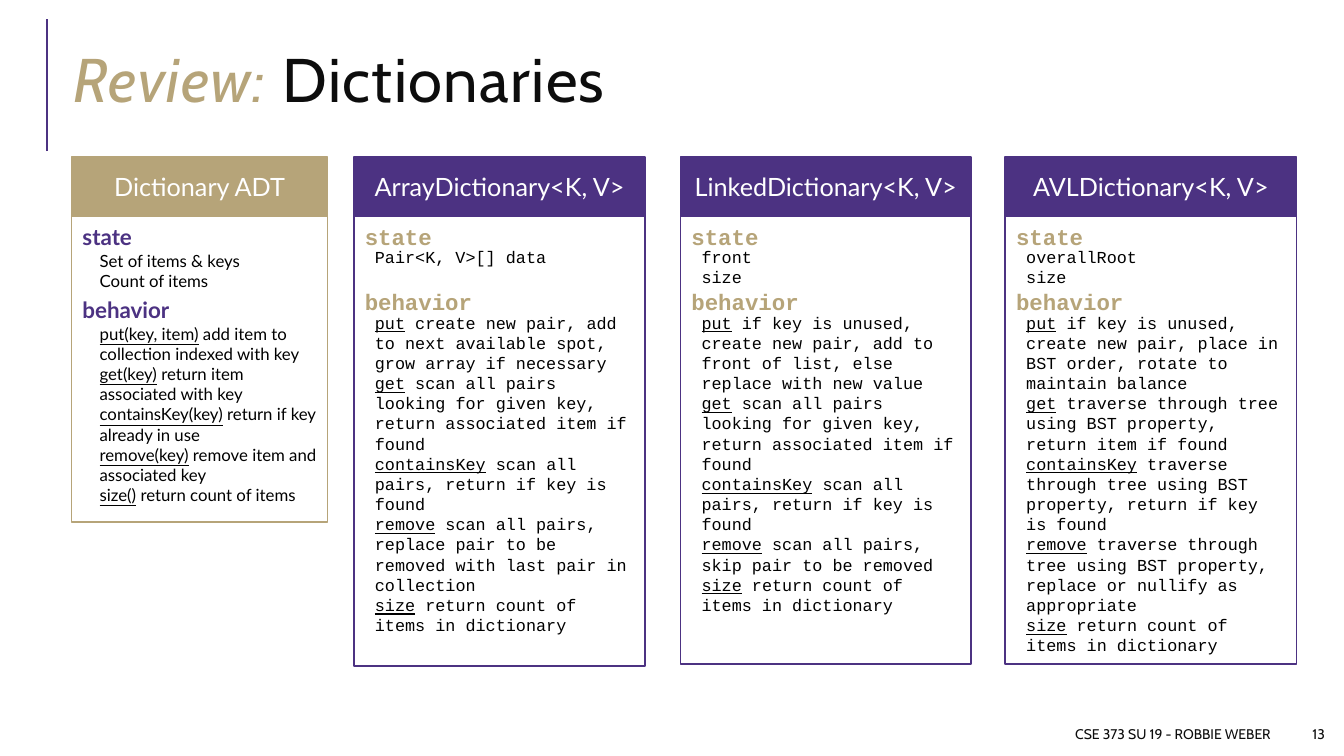
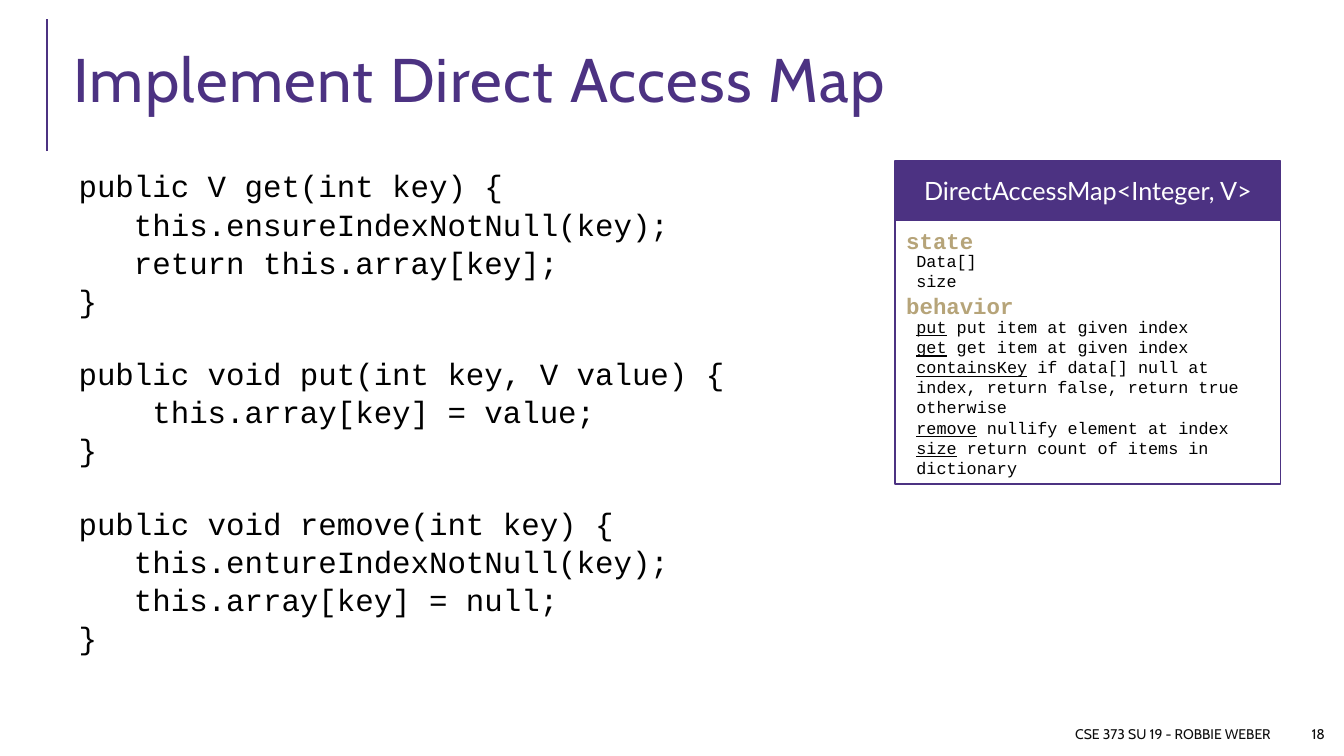
from dataclasses import dataclass

from lxml.etree import SubElement
from pptx import Presentation
from pptx.dml.color import RGBColor
from pptx.enum.shapes import MSO_CONNECTOR as Connector, MSO_SHAPE as Shape
from pptx.enum.text import MSO_ANCHOR as Anchor, PP_ALIGN as Align
from pptx.oxml.ns import qn
from pptx.util import Inches, Pt


@dataclass(frozen=True)
class Theme:
    purple: str = "4C3282"
    gold: str = "B6A479"
    ink: str = "0D0D0D"
    black: str = "000000"
    white: str = "FFFFFF"
    title_font: str = "Cabin"
    body_font: str = "Lato"
    code_font: str = "Courier New"
    title_size: int = 44
    code_size: int = 22
    header_size: int = 18
    heading_size: int = 16
    item_size: int = 12
    footer_size: int = 10


THEME = Theme()


@dataclass(frozen=True)
class PanelStyle:
    """Colours, font and inner offsets (inches from the panel corner)."""
    frame: str
    heading: str
    font: str
    indent: float
    items_top: float
    behavior_top: float
    methods_top: float


ADT = PanelStyle(THEME.gold, THEME.purple, THEME.body_font, 0.18, 0.88, 1.33, 1.6)
CLASS = PanelStyle(THEME.purple, THEME.gold, THEME.code_font, 0.11, 0.84, 1.25, 1.49)
HEADER_HEIGHT = 0.58


class Deck:
    def __init__(self, theme):
        self.theme = theme
        self.presentation = Presentation()
        self.presentation.slide_width = Inches(13.33)
        self.presentation.slide_height = Inches(7.5)
        self.slide = None

    def add_slide(self, title_runs, number):
        """Start a slide with its side rule, title and footer."""
        theme = self.theme
        self.slide = self.presentation.slides.add_slide(
            self.presentation.slide_layouts[6])
        rule = self.slide.shapes.add_connector(
            Connector.STRAIGHT, Inches(0.47), Inches(1.5), Inches(0.47), Inches(0.19))
        rule.line.color.rgb = RGBColor.from_string(theme.purple)
        rule.line.width = Pt(1.5)
        SubElement(rule._element.spPr, qn("a:effectLst"))
        self.title(title_runs)
        self.footer("CSE 373 SU 19 - ROBBIE WEBER", 6.25, 6.45)
        self.footer(str(number), 12.78, 0.46)

    def title(self, runs):
        frame = self.text_box(self.slide.shapes, 0.63, 0.29, 12.23, 1.11)
        frame.vertical_anchor = Anchor.MIDDLE
        paragraph = frame.paragraphs[0]
        paragraph.line_spacing = 0.8
        for text, color, italic in runs:
            run = self.run(paragraph, text, self.theme.title_font,
                           self.theme.title_size, color)
            run.font.italic = italic
            run.font._element.set("spc", "100")

    def footer(self, text, left, width):
        frame = self.text_box(self.slide.shapes, left, 7.13, width, 0.3)
        frame.vertical_anchor = Anchor.MIDDLE
        frame.paragraphs[0].alignment = Align.RIGHT
        self.run(frame.paragraphs[0], text, self.theme.title_font,
                 self.theme.footer_size, self.theme.ink)

    def text_box(self, shapes, left, top, width, height):
        frame = shapes.add_textbox(
            Inches(left), Inches(top), Inches(width), Inches(height)).text_frame
        frame.word_wrap = True
        return frame

    def run(self, paragraph, text, font, size, color):
        run = paragraph.add_run()
        run.text = text
        run.font.name = font
        run.font.size = Pt(size)
        run.font.color.rgb = RGBColor.from_string(color)
        return run

    def rectangle(self, shapes, left, top, width, height, fill, line):
        shape = shapes.add_shape(
            Shape.RECTANGLE, Inches(left), Inches(top), Inches(width), Inches(height))
        shape.shadow.inherit = False
        shape.fill.solid()
        shape.fill.fore_color.rgb = RGBColor.from_string(fill)
        shape.line.color.rgb = RGBColor.from_string(line)
        shape.line.width = Pt(1.25)
        return shape

    def item_list(self, shapes, left, top, width, height, items, font):
        """One paragraph per (underlined name, plain text) pair."""
        frame = self.text_box(shapes, left, top, width, height)
        for index, (name, text) in enumerate(items):
            paragraph = frame.add_paragraph() if index else frame.paragraphs[0]
            for part, underline in ((name, True), (text, False)):
                if part:
                    run = self.run(paragraph, part, font,
                                   self.theme.item_size, self.theme.black)
                    run.font.underline = underline

    def panel(self, left, top, width, body_height, name, state, methods, style):
        """A class card: header, state list and behavior list, grouped."""
        theme = self.theme
        shapes = self.slide.shapes.add_group_shape().shapes
        self.rectangle(shapes, left, top + HEADER_HEIGHT, width, body_height,
                       theme.white, style.frame)
        header = self.rectangle(shapes, left, top, width, HEADER_HEIGHT,
                                style.frame, style.frame).text_frame
        header.word_wrap = True
        header.vertical_anchor = Anchor.MIDDLE
        header.paragraphs[0].alignment = Align.CENTER
        self.run(header.paragraphs[0], name, theme.body_font,
                 theme.header_size, theme.white)

        for heading, offset in (("state", 0.6), ("behavior", style.behavior_top)):
            frame = self.text_box(shapes, left + 0.01, top + offset, 2.23, 0.37)
            run = self.run(frame.paragraphs[0], heading, style.font,
                           theme.heading_size, style.heading)
            run.font.bold = True

        item_left = left + style.indent
        self.item_list(shapes, item_left, top + style.items_top, 2.23, 0.5,
                       [("", text) for text in state], style.font)
        self.item_list(shapes, item_left, top + style.methods_top,
                       width - style.indent,
                       body_height + HEADER_HEIGHT - style.methods_top,
                       methods, style.font)

    def code(self, blocks):
        """Code listing; a wider gap follows each block but the last."""
        frame = self.text_box(self.slide.shapes, 0.73, 1.65, 12.13, 5.25)
        frame.margin_left = frame.margin_right = Inches(0.05)
        frame.margin_top = frame.margin_bottom = Inches(0.05)
        paragraph = None
        for block in blocks:
            if paragraph is not None:
                paragraph.space_after = Pt(28.7)
            for line in block.splitlines():
                paragraph = frame.add_paragraph() if paragraph else frame.paragraphs[0]
                paragraph.line_spacing = 0.9
                paragraph.space_after = Pt(3.5)
                self.run(paragraph, line, self.theme.code_font,
                         self.theme.code_size, self.theme.black)


# Content
SIZE = ("size", " return count of items in dictionary")
SCAN_GET = ("get", " scan all pairs looking for given key, return associated item if found")
SCAN_CONTAINS = ("containsKey", " scan all pairs, return if key is found")

# left, width, body height, name, state, methods, style
DICTIONARIES = [
    (0.71, 2.54, 3.04, "Dictionary ADT",
     ["Set of items & keys", "Count of items"],
     [("put(key, item)", " add item to collection indexed with key"),
      ("get(key)", " return item associated with key"),
      ("containsKey(key)", " return if key already in use"),
      ("remove(key)", " remove item and associated key"),
      ("size()", " return count of items")], ADT),
    (3.51, 2.89, 4.47, "ArrayDictionary<K, V>",
     ["Pair<K, V>[] data"],
     [("put", " create new pair, add to next available spot, grow array if necessary"),
      SCAN_GET,
      SCAN_CONTAINS,
      ("remove", " scan all pairs, replace pair to be removed with last pair in collection"),
      SIZE], CLASS),
    (6.75, 2.88, 4.45, "LinkedDictionary<K, V>",
     ["front", "size"],
     [("put", " if key is unused, create new pair, add to front of list, "
              "else replace with new value"),
      SCAN_GET,
      SCAN_CONTAINS,
      ("remove", " scan all pairs, skip pair to be removed"),
      SIZE], CLASS),
    (9.97, 2.89, 4.45, "AVLDictionary<K, V>",
     ["overallRoot", "size"],
     [("put", " if key is unused, create new pair, place in BST order, "
              "rotate to maintain balance"),
      ("get", " traverse through tree using BST property, return item if found"),
      ("containsKey", " traverse through tree using BST property, return if key is found"),
      ("remove", " traverse through tree using BST property, "
                 "replace or nullify as appropriate"),
      SIZE], CLASS),
]

DIRECT_ACCESS_METHODS = [
    ("put", " put item at given index"),
    ("get", " get item at given index"),
    ("containsKey", " if data[] null at index, return false, return true otherwise"),
    ("remove", " nullify element at index"),
    SIZE,
]

DIRECT_ACCESS_CODE = [
    """public V get(int key) {
   this.ensureIndexNotNull(key);
   return this.array[key];
}""",
    """public void put(int key, V value) {
    this.array[key] = value;
}""",
    """public void remove(int key) {
   this.entureIndexNotNull(key);
   this.array[key] = null;
}""",
]


def main():
    deck = Deck(THEME)

    # Dictionary review
    deck.add_slide([("Review:", THEME.gold, True),
                    (" Dictionaries", THEME.ink, False)], 13)
    for left, width, height, name, state, methods, style in DICTIONARIES:
        deck.panel(left, 1.56, width, height, name, state, methods, style)

    # Direct access map
    deck.add_slide([("Implement Direct Access Map", THEME.purple, False)], 18)
    deck.code(DIRECT_ACCESS_CODE)
    deck.panel(8.88, 1.6, 3.82, 2.62, "DirectAccessMap<Integer, V>",
               ["Data[]", "size"], DIRECT_ACCESS_METHODS, CLASS)

    deck.presentation.save("out.pptx")


if __name__ == "__main__":
    main()
